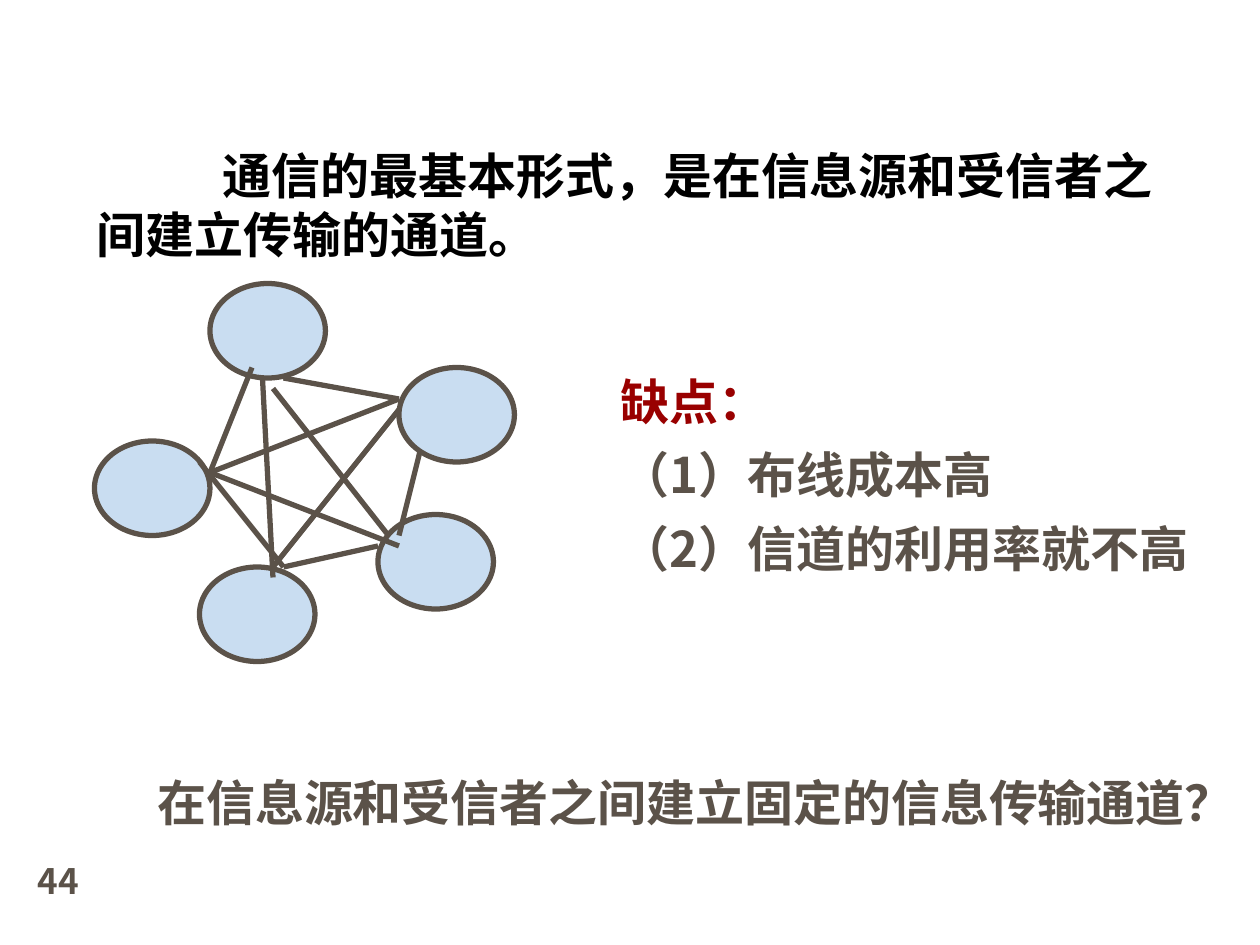
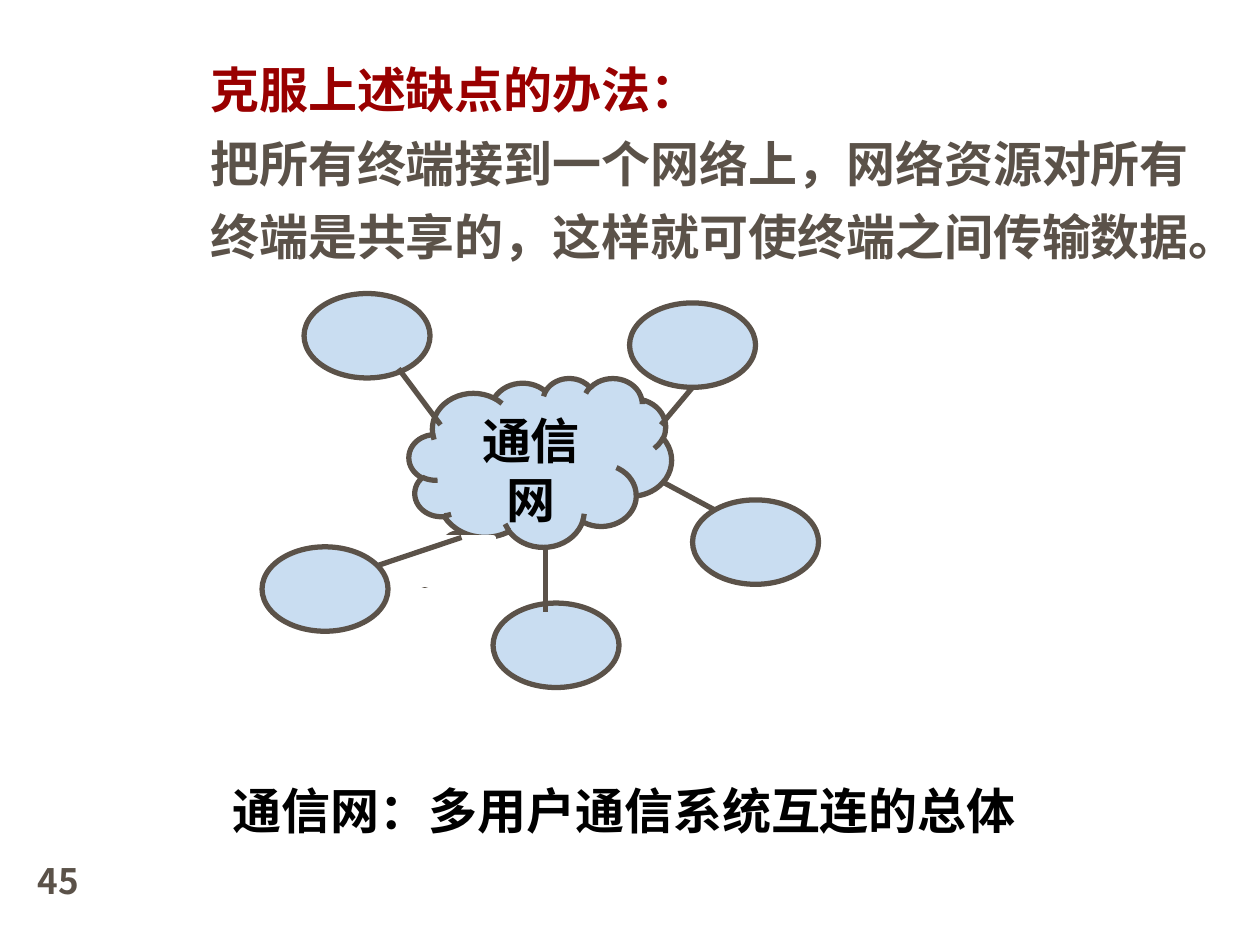
from lxml import etree
from pptx import Presentation
from pptx.dml.color import RGBColor
from pptx.enum.shapes import MSO_CONNECTOR, MSO_SHAPE
from pptx.enum.text import MSO_ANCHOR, PP_ALIGN
from pptx.oxml.ns import qn
from pptx.util import Inches, Pt

BROWN = RGBColor(0x5B, 0x52, 0x49)
SKY = RGBColor(0xC9, 0xDD, 0xF1)
RED = RGBColor(0x99, 0x00, 0x00)
BLACK = RGBColor(0, 0, 0)
WHITE = RGBColor(255, 255, 255)
JP, SC = "Noto Sans CJK JP", "Noto Sans CJK SC"
TIMES = "Times New Roman"
TIGHT, LOOSE = 1.2, 1.5  # line pitch as a multiple of the text size

# Content: texts are (left, top, width, height), pitch, [(text, font, colour)]
# Diagrams: nodes and links are in grid columns and rows from the origin
SLIDES = [
    {
        "number": 44,
        "texts": [
            ((0.67, 1.1, 8.83, 1.04), TIGHT,
             [("\t通信的最基本形式，是在信息源和受信者之间建立传输的通道。", JP, BLACK)]),
            ((1.15, 6.08, 8.84, 0.64), TIGHT,
             [("在信息源和受信者之间建立固定的信息传输通道？", SC, BROWN)]),
            ((4.83, 2.78, 4.75, 1.85), LOOSE,
             [("缺点：", SC, RED),
              ("（1）布线成本高", JP, BROWN),
              ("（2）信道的利用率就不高", JP, BROWN)]),
        ],
        "origin": (0.75, 2.25), "cell": (1 / 12, 1 / 12), "node": (11, 9),
        "nodes": [(10, 27), (0, 15), (27, 22), (29, 8), (11, 0)],
        "links": [(15, 8, 11, 18), (16, 9, 17, 28), (17, 10, 28, 24),
                  (18, 9, 29, 11), (29, 12, 17, 27), (10, 17, 18, 27),
                  (11, 18, 29, 11), (18, 27, 27, 25), (11, 18, 29, 25),
                  (31, 16, 29, 24)],
    },
    {
        "number": 45,
        "texts": [
            ((0.75, 6.14, 8, 0.57), TIGHT,
             [("\t通信网：多用户通信系统互连的总体", JP, BLACK)]),
            ((1.57, 0.31, 8.15, 1.85), LOOSE,
             [("克服上述缺点的办法：", SC, RED),
              ("把所有终端接到一个网络上，网络资源对所有终端是共享的，"
               "这样就可使终端之间传输数据。", SC, BROWN)]),
        ],
        "origin": (2.08, 2.33), "cell": (1 / 12, 0.67 / 9), "node": (12, 9),
        "cloud": ("通信网", (14, 9, 25, 18)),
        "cloud_tail_cover": (14, 26, 8, 5),
        "nodes": [(0, 27), (22, 33), (41, 22), (35, 1), (4, 0)],
        "links": [(13, 8, 17, 14), (41, 10, 38, 14), (38, 20, 43, 23),
                  (27, 27, 27, 34), (19, 26, 11, 29)],
    },
]


def format_paragraph(p, font, color, size=28, pitch=TIGHT):
    """One tab stop per inch, fixed line pitch, bold runs."""
    p.line_spacing = Pt(round(size * pitch))
    p.space_before = Pt(0)
    tabs = etree.SubElement(p._p.get_or_add_pPr(), qn("a:tabLst"))
    for inch in range(1, 8):
        etree.SubElement(tabs, qn("a:tab"), pos=str(Inches(inch)), algn="l")
    for r in p.runs:
        r.font.size, r.font.bold = Pt(size), True
        r.font.color.rgb = color
        r.font.name = font
        east_asian = SC if font == TIMES else font
        etree.SubElement(r._r.get_or_add_rPr(), qn("a:ea"), typeface=east_asian)


def add_text(s, box, pitch, lines, size=28):
    tf = s.shapes.add_textbox(*map(Inches, box)).text_frame
    tf.word_wrap = True
    tf.text = "\n".join(text for text, _, _ in lines)
    for p, (_, font, color) in zip(tf.paragraphs, lines):
        format_paragraph(p, font, color, size, pitch)


def add_diagram(s, data):
    (x0, y0), (col, row) = data["origin"], data["cell"]

    def at(c, r):
        return Inches(x0 + c * col), Inches(y0 + r * row)

    def add_block(kind, c, r, w, h, fill=SKY, line=BROWN):
        sp = s.shapes.add_shape(kind, *at(c, r), Inches(w * col), Inches(h * row))
        sp.shadow.inherit = False
        sp.fill.solid()
        sp.fill.fore_color.rgb = fill
        sp.line.color.rgb, sp.line.width = line, Pt(3)
        return sp

    # Central network, with the callout's tail covered
    if "cloud" in data:
        label, place = data["cloud"]
        cloud = add_block(MSO_SHAPE.CLOUD_CALLOUT, *place)
        cloud.adjustments[0], cloud.adjustments[1] = -0.44, 0.7
        tf = cloud.text_frame
        tf.word_wrap, tf.vertical_anchor = True, MSO_ANCHOR.TOP
        tf.margin_left = tf.margin_right = Inches(0.15)
        tf.text = label
        tf.paragraphs[0].alignment = PP_ALIGN.CENTER
        format_paragraph(tf.paragraphs[0], TIMES, BLACK)
        add_block(MSO_SHAPE.RECTANGLE, *data["cloud_tail_cover"], WHITE, WHITE)

    # Terminals and the links between them
    for c, r in data["nodes"]:
        add_block(MSO_SHAPE.OVAL, c, r, *data["node"])
    for c1, r1, c2, r2 in data["links"]:
        link = s.shapes.add_connector(MSO_CONNECTOR.STRAIGHT, *at(c1, r1), *at(c2, r2))
        link.line.color.rgb, link.line.width = BROWN, Pt(3)
        etree.SubElement(link._element.spPr, qn("a:effectLst"))


def main():
    prs = Presentation()
    prs.slide_width, prs.slide_height = Inches(10), Inches(7.5)
    for data in SLIDES:
        s = prs.slides.add_slide(prs.slide_layouts[6])
        add_diagram(s, data)
        for box, pitch, lines in data["texts"]:
            add_text(s, box, pitch, lines)
        # Page number
        add_text(s, (0.2, 6.77, 0.55, 0.5), TIGHT,
                 [(str(data["number"]), SC, BROWN)], size=20)
    prs.save("out.pptx")


if __name__ == "__main__":
    main()
